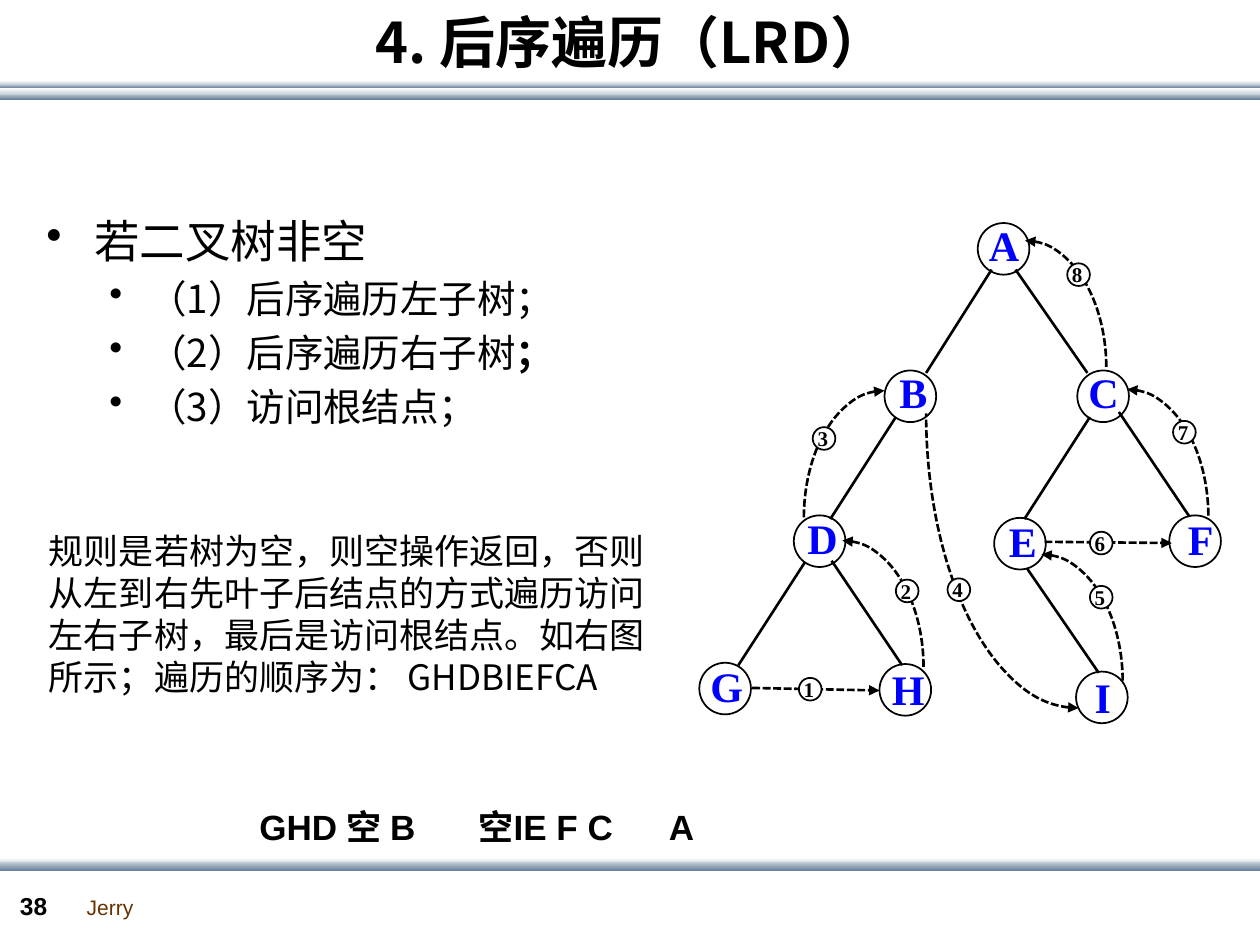
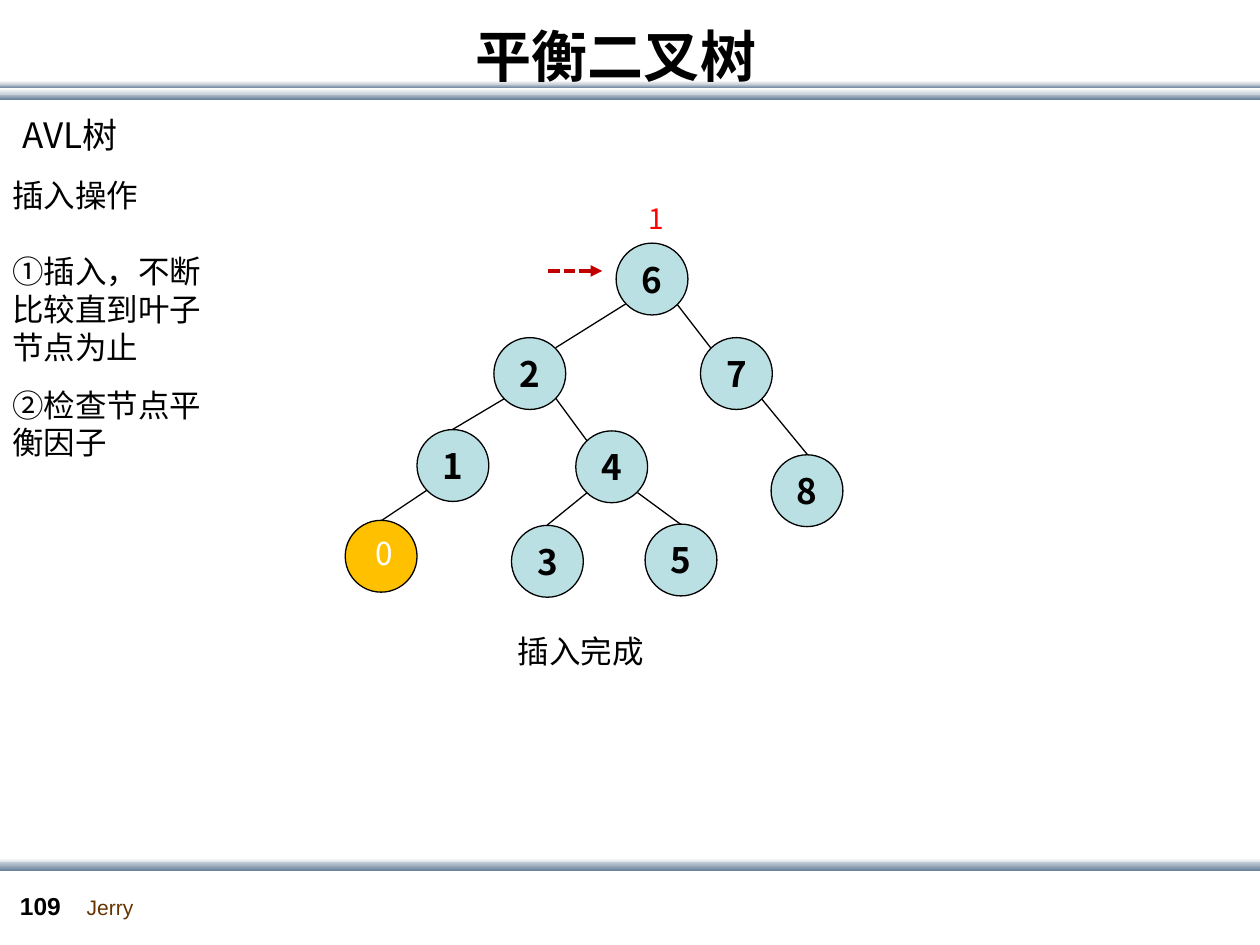
"""Builds two slides on binary trees: post-order traversal and AVL insertion."""
from lxml.etree import SubElement
from pptx import Presentation
from pptx.dml.color import RGBColor
from pptx.enum.dml import MSO_LINE
from pptx.enum.shapes import MSO_CONNECTOR, MSO_SHAPE
from pptx.enum.text import MSO_ANCHOR, PP_ALIGN
from pptx.oxml.ns import qn
from pptx.util import Inches, Pt

STRAIGHT = MSO_CONNECTOR.STRAIGHT
ARC, OVAL, RECTANGLE = MSO_SHAPE.ARC, MSO_SHAPE.OVAL, MSO_SHAPE.RECTANGLE
DASHED = MSO_LINE.SQUARE_DOT
MIDDLE, CENTER = MSO_ANCHOR.MIDDLE, PP_ALIGN.CENTER
HAN, SANS, SERIF = "Noto Sans CJK SC", "Arial", "Times New Roman"
COLORS = {
    "black": "000000", "white": "FFFFFF", "blue": "0000FF", "brown": "663300",
    "pale": "C8D1DA", "steel": "6A839C", "node": "BBE0E3", "new": "FFC000",
    "pointer": "C00000", "balance": "FF0000",
}
RGB = {name: RGBColor.from_string(value) for name, value in COLORS.items()}


def style(para, size, font=HAN, color="black", bold=False):
    para.font.size = Pt(size)
    para.font.bold = bold
    para.font.color.rgb = RGB[color]
    para.font.name = font
    SubElement(para._p.pPr.find(qn("a:defRPr")), qn("a:ea"), typeface=HAN)


def write(page, text, at, size, font=HAN, color="black", bold=False, centered=False, tabs=()):
    box = page.shapes.add_textbox(*map(Inches, at))
    frame = box.text_frame
    frame.word_wrap = True
    para = frame.paragraphs[0]
    para.text = text
    if centered:
        frame.vertical_anchor = MIDDLE
        para.alignment = CENTER
    elif font == HAN:
        frame.margin_top = Inches(0.07)
        para.line_spacing = Pt(1.2 * size)
    if tabs:
        stops = SubElement(para._p.get_or_add_pPr(), qn("a:tabLst"))
        for position in tabs:
            SubElement(stops, qn("a:tab"), pos=str(Inches(position)), algn="l")
    style(para, size, font, color, bold)
    return frame


deck = Presentation()
deck.slide_width, deck.slide_height = Inches(10), Inches(7.5)

bands = [
    (0.74, 0.05, "pale", "steel"), (0.67, 0.03, "pale", "steel"),
    (0.7, 0.05, "white", "pale"), (0.64, 0.03, "white", "pale"),
    (6.81, 0.05, "white", "pale"), (6.84, 0.07, "pale", "steel"),
]
headings = [
    ("4. 后序遍历（LRD）", (0.01, -0.01, 9.99, 0.67), "38"),
    ("平衡二叉树", (0.39, -0.19, 9, 1.25), "109"),
]
for title, title_at, number in headings:
    page = deck.slides.add_slide(deck.slide_layouts[6])
    for top, height, start, end in bands:
        band = page.shapes.add_shape(RECTANGLE, 0, Inches(top), Inches(10.01), Inches(height))
        band.shadow.inherit = False
        band.line.fill.background()
        band.fill.gradient()
        band.fill.gradient_angle = 270
        for stop, color in zip(band.fill.gradient_stops, (start, end)):
            stop.color.rgb = RGB[color]
    write(page, "Jerry", (0.59, 7.05, 0.7, 0.3), 12, SANS, "brown")
    write(page, number, (0.06, 7.02, 0.55, 0.33), 14, SANS, bold=True)
    write(page, title, title_at, 32, bold=True, centered=True)
traversal, balanced = deck.slides

frame = write(traversal, "若二叉树非空", (0.27, 1.62, 4.41, 2.28), 26)
rules = [("（1）后序遍历左子树；", ""), ("（2）后序遍历右子树", "；"), ("（3）访问根结点；", "")]
for text, bold_end in rules:
    para = frame.add_paragraph()
    para.level = 1
    para.space_before = Pt(4.4)
    para.line_spacing = Pt(26.4)
    para.add_run().text = text
    if bold_end:
        span = para.add_run()
        span.text = bold_end
        span.font.bold = True
for para in frame.paragraphs:
    margin, hang = (0.81, 0.31) if para.level else (0.38, 0.38)
    properties = para._p.get_or_add_pPr()
    properties.set("marL", str(Inches(margin)))
    properties.set("indent", str(-Inches(hang)))
    bullet = properties.makeelement(qn("a:buChar"), {"char": "•"})
    defaults = properties.find(qn("a:defRPr"))
    if defaults is None:
        properties.append(bullet)
        style(para, 22)
    else:
        defaults.addprevious(bullet)

write(
    traversal,
    "规则是若树为空，则空操作返回，否则从左到右先叶子后结点的方式遍历访问左右子树，"
    "最后是访问根结点。如右图所示；遍历的顺序为： GHDBIEFCA",
    (0.29, 4.13, 5, 1.45), 20,
)
write(traversal, "GHD 空 B\t空IE F C\tA", (1.96, 6.34, 5.02, 0.44), 20, SANS,
      bold=True, tabs=(1.74, 3.25))

tree_edges = [
    (7.87, 2.14, 7.35, 2.96), (7.11, 3.31, 6.59, 4.12), (6.39, 4.46, 5.86, 5.28),
    (8.63, 2.96, 8.06, 2.14), (9.44, 4.1, 8.88, 3.27), (8.65, 3.31, 8.13, 4.12),
    (7.16, 5.28, 6.6, 4.45), (8.72, 5.34, 8.15, 4.51),
]
avl_edges = [
    (5.64, 2.76, 5.37, 2.41), (5.06, 3.91, 5.4, 4.16), (6.04, 3.16, 6.41, 3.61),
    (4.01, 3.16, 3.59, 3.41), (3.39, 3.89, 3.03, 4.13), (4.97, 2.41, 4.41, 2.76),
    (4.41, 3.16, 4.66, 3.5), (4.66, 3.91, 4.34, 4.17),
]
visit_arrows = [(5.97, 5.46, 6.98, 5.48), (8.29, 4.3, 9.3, 4.31)]
edge_groups = [
    (traversal, tree_edges, "black", 1.5, False),
    (traversal, visit_arrows, "black", 1.5, True),
    (balanced, avl_edges, "black", 0.75, False),
    (balanced, [(4.35, 2.15, 4.78, 2.15)], "pointer", 2.25, True),
]
for page, edges, color, width, arrow in edge_groups:
    for ends in edges:
        edge = page.shapes.add_connector(STRAIGHT, *map(Inches, ends))
        edge.line.color.rgb = RGB[color]
        edge.line.width = Pt(width)
        properties = edge._element.spPr
        if arrow:
            edge.line.dash_style = DASHED
            SubElement(properties.find(qn("a:ln")), qn("a:tailEnd"), type="triangle")
        SubElement(properties, qn("a:effectLst"))

visit_arcs = [
    ((6.04, 4.29, 1.29, 2.02), ()),
    ((6.38, 3.1, 1.28, 2.02), ("flipH",)),
    ((7.35, 0.94, 2.42, 4.68), ("flipH", "flipV")),
    ((7.62, 4.4, 1.29, 2.02), ()),
    ((8.3, 3.09, 1.29, 2.02), ()),
    ((7.49, 1.91, 1.29, 2.02), ()),
]
for at, flips in visit_arcs:
    arc = traversal.shapes.add_shape(ARC, *map(Inches, at))
    arc.shadow.inherit = False
    arc.fill.background()
    arc.line.color.rgb = RGB["black"]
    arc.line.width = Pt(1.5)
    arc.line.dash_style = DASHED
    properties = arc._element.spPr
    SubElement(properties.find(qn("a:ln")), qn("a:headEnd"), type="triangle")
    for flip in flips:
        properties.find(qn("a:xfrm")).set(flip, "1")

letters = [
    ("A", 7.76, 1.77, 7.75, 1.69), ("B", 7.02, 2.94, 7.04, 2.86), ("C", 8.55, 2.94, 8.54, 2.86),
    ("D", 6.3, 4.09, 6.31, 4.02), ("E", 7.89, 4.11, 7.91, 4.04), ("F", 9.28, 4.09, 9.33, 4.03),
    ("G", 5.55, 5.26, 5.54, 5.19), ("H", 6.98, 5.27, 6.98, 5.22), ("I", 8.54, 5.33, 8.59, 5.28),
]
steps = [
    (6.34, 5.38), (7.11, 4.6), (6.45, 3.39), (7.52, 4.59),
    (8.65, 4.65), (8.65, 4.22), (9.31, 3.34), (8.47, 2.09),
]
keys = [
    ("6", 4.89, 1.93), ("4", 4.57, 3.42), ("2", 3.92, 2.68), ("7", 5.56, 2.68),
    ("5", 5.12, 4.16), ("8", 6.12, 3.61), ("1", 3.31, 3.41), ("3", 4.06, 4.17),
]
circles = [(traversal, left, top, 0.41, None, 1, "") for _, left, top, _, _ in letters]
circles += [(traversal, left, top, 0.18, "white", 1, "") for left, top in steps]
circles += [(balanced, left, top, 0.57, "node", 0.75, key) for key, left, top in keys]
circles.append((balanced, 2.74, 4.13, 0.57, "new", 0.75, ""))
for page, left, top, size, fill, width, key in circles:
    circle = page.shapes.add_shape(OVAL, *map(Inches, (left, top, size, size)))
    circle.shadow.inherit = False
    circle.line.color.rgb = RGB["black"]
    circle.line.width = Pt(width)
    if fill:
        circle.fill.solid()
        circle.fill.fore_color.rgb = RGB[fill]
    else:
        circle.fill.background()
    if key:
        circle.text_frame.vertical_anchor = MIDDLE
        para = circle.text_frame.paragraphs[0]
        para.text = key
        para.alignment = CENTER
        style(para, 20, bold=True)

for letter, _, _, left, top in letters:
    write(traversal, letter, (left, top, 0.47, 0.51), 24, SERIF, "blue", True)
for number, (left, top) in enumerate(steps, 1):
    write(traversal, str(number), (left - 0.06, top - 0.06, 0.33, 0.3), 12, SERIF, bold=True)

notes = [
    ("AVL树", (0.08, 0.83, 1.07, 0.44), 20, "black"),
    ("插入操作", (0, 1.33, 1.4, 0.4), 18, "black"),
    ("①插入，不断比较直到叶子节点为止", (0, 1.93, 1.94, 1.01), 18, "black"),
    ("②检查节点平衡因子", (0, 2.99, 1.94, 0.71), 18, "black"),
    ("0", (2.88, 4.17, 0.35, 0.4), 18, "white"),
    ("1", (5.05, 1.53, 0.24, 0.37), 16, "balance"),
    ("插入完成", (4.01, 4.95, 1.4, 0.4), 18, "black"),
]
for text, at, size, color in notes:
    write(balanced, text, at, size, color=color)

deck.save("out.pptx")
